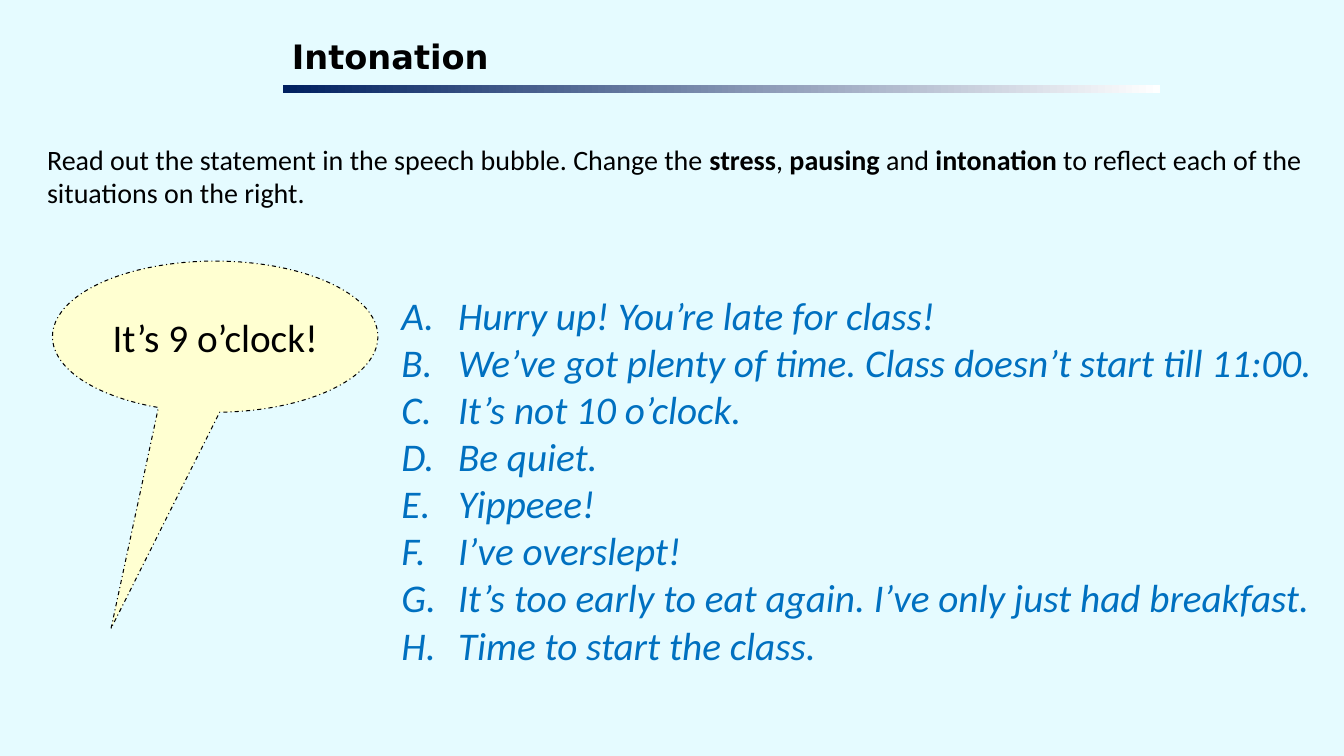
import pptx
import pptx.util
import pptx.dml.color
import pptx.enum.dml
import pptx.enum.shapes
import pptx.enum.text
import pptx.oxml.ns
import lxml.etree

Pt = pptx.util.Pt
Fit = pptx.enum.text.MSO_AUTO_SIZE
Anchor = pptx.enum.text.MSO_ANCHOR
Align = pptx.enum.text.PP_ALIGN
Shape = pptx.enum.shapes.MSO_SHAPE

HUES = {"back": "E5FBFF", "bubble": "FFFFD1", "ink": "000000",
        "list": "0070C0", "navy": "002060", "white": "FFFFFF"}

HEAD = {"size": Pt(24), "name": "DejaVu Sans", "bold": True, "italic": False}
INTRO = {"size": Pt(20), "name": "Calibri"}
SPEECH = {"size": Pt(28), "name": "Calibri"}
ITEM = {"size": Pt(28), "name": "Calibri", "italic": True}

TASK = [("Read out the statement in the speech bubble. Change the ", False),
        ("stress", True), (", ", False), ("pausing", True), (" and ", False),
        ("intonation", True),
        (" to reflect each of the situations on the right.", False)]

CASES = ["Hurry up! You’re late for class!",
         "We’ve got plenty of time. Class doesn’t start till 11:00.",
         "It’s not 10 o’clock.",
         "Be quiet.",
         "Yippeee!",
         "I’ve overslept!",
         "It’s too early to eat again. I’ve only just had breakfast.",
         "Time to start the class."]


def hue(key):
    return pptx.dml.color.RGBColor.from_string(HUES[key])


def write(para, text, style, key="ink", **more):
    run = para.add_run()
    run.text = text
    for name, value in {**style, **more}.items():
        setattr(run.font, name, value)
    run.font.color.rgb = hue(key)


def place(shape, box):
    for name, value in zip(("left", "top", "width", "height"), box):
        setattr(shape, name, Pt(value))


def setup(frame, **values):
    for name, value in values.items():
        setattr(frame, name, value)


def header(slide, box):
    left, top, width, height = box
    bar = 6
    # Title text
    title = slide.shapes.title
    place(title, (left + 3, top, width - 3, height - bar))
    setup(title.text_frame, word_wrap=True, auto_size=Fit.NONE,
          vertical_anchor=Anchor.TOP, margin_left=Pt(3), margin_right=Pt(3),
          margin_top=Pt(3), margin_bottom=Pt(3))
    para = title.text_frame.paragraphs[0]
    para.alignment = Align.LEFT
    write(para, "Intonation", HEAD)
    # Fading rule below the title
    rule = slide.shapes.add_shape(Shape.RECTANGLE, Pt(left),
                                  Pt(top + height - bar), Pt(width), Pt(bar))
    rule.shadow.inherit = False
    rule.line.fill.background()
    rule.fill.gradient()
    rule.fill.gradient_angle = 180
    for stop, key, at in zip(rule.fill.gradient_stops, ("white", "navy"), (0, 1)):
        stop.color.rgb = hue(key)
        stop.position = at


def intro(slide, box):
    area = slide.shapes.add_textbox(*map(Pt, box))
    setup(area.text_frame, word_wrap=True, auto_size=Fit.SHAPE_TO_FIT_TEXT)
    for text, bold in TASK:
        write(area.text_frame.paragraphs[0], text, INTRO, bold=bold)


def bubble(slide, box):
    shape = slide.shapes.add_shape(Shape.OVAL_CALLOUT, *map(Pt, box))
    shape.shadow.inherit = False
    shape.adjustments[0] = -0.32
    shape.adjustments[1] = 1.93
    shape.fill.solid()
    shape.fill.fore_color.rgb = hue("bubble")
    shape.line.color.rgb = hue("ink")
    shape.line.width = Pt(0.75)
    shape.line.dash_style = pptx.enum.dml.MSO_LINE.DASH_DOT
    setup(shape.text_frame, word_wrap=True, vertical_anchor=Anchor.MIDDLE)
    para = shape.text_frame.paragraphs[0]
    para.alignment = Align.CENTER
    write(para, "It’s 9 o’clock!", SPEECH)


def cases(slide, box):
    body = slide.placeholders[1]
    place(body, box)
    frame = body.text_frame
    setup(frame, word_wrap=True, auto_size=Fit.SHAPE_TO_FIT_TEXT,
          vertical_anchor=Anchor.TOP)
    for num, text in enumerate(CASES):
        para = frame.add_paragraph() if num else frame.paragraphs[0]
        setup(para, space_before=Pt(0), space_after=Pt(0), line_spacing=1.0)
        # Hanging letters A. to H.
        props = para._p.get_or_add_pPr()
        props.set("marL", str(Pt(40.5)))
        props.set("indent", str(Pt(-40.5)))
        mark = lxml.etree.SubElement(props, pptx.oxml.ns.qn("a:buFont"))
        mark.set("typeface", "Calibri")
        mark = lxml.etree.SubElement(props, pptx.oxml.ns.qn("a:buAutoNum"))
        mark.set("type", "alphaUcPeriod")
        write(para, text, ITEM, "list")


def main():
    deck = pptx.Presentation()
    deck.slide_width, deck.slide_height = Pt(960), Pt(540)
    slide = deck.slides.add_slide(deck.slide_layouts[1])
    slide.background.fill.solid()
    slide.background.fill.fore_color.rgb = hue("back")
    bubble(slide, (37.5, 186.5, 232.5, 108))
    intro(slide, (26.5, 98, 913, 55.5))
    cases(slide, (279.5, 204.5, 680.5, 278.5))
    header(slide, (202.5, 22.5, 626, 44))
    deck.save("out.pptx")


if __name__ == "__main__":
    main()
